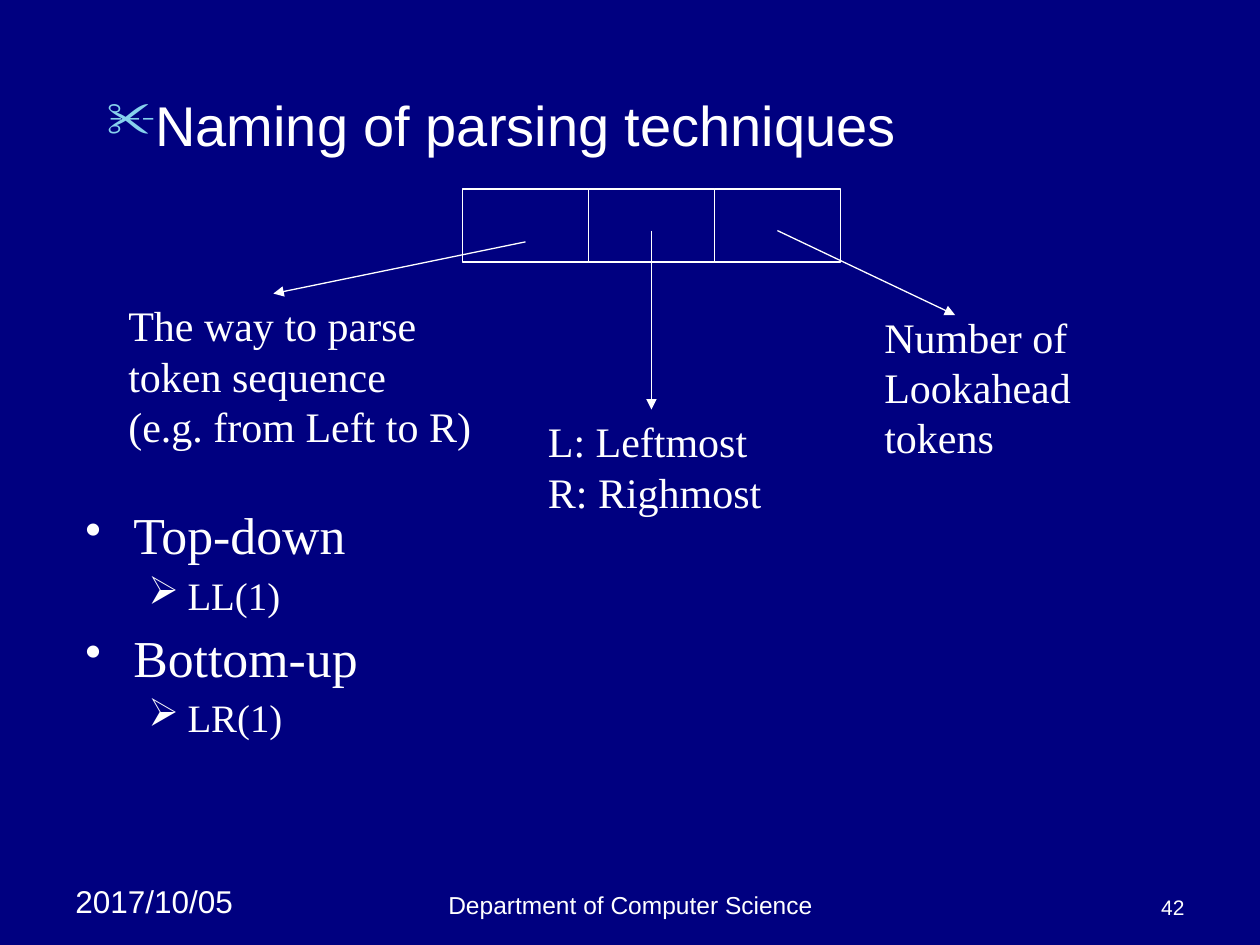
from dataclasses import dataclass
from typing import Any

from lxml import etree
from pptx import Presentation
from pptx import util as u
from pptx.dml.color import RGBColor
from pptx.enum import shapes, text
from pptx.oxml import ns


def color(value):
    return RGBColor.from_string(value)


def add_element(parent, tag, **attributes):
    return etree.SubElement(parent, ns.qn(tag), attributes)


@dataclass
class SlideBuilder:
    """Hold the slide style and add each kind of element to the current slide."""

    slide: Any
    ink: str = "FFFFFF"
    ground: str = "000080"
    sans: str = "Arial"
    serif: str = "Times New Roman"
    line_width: float = 0.75

    def background(self):
        fill = self.slide.background.fill
        fill.solid()
        fill.fore_color.rgb = color(self.ground)

    def text_box(self, left, top, width, height, anchor="TOP", wrap=True):
        box = self.slide.shapes.add_textbox(
            u.Inches(left), u.Inches(top), u.Inches(width), u.Inches(height)
        )
        frame = box.text_frame
        frame.word_wrap = wrap
        frame.vertical_anchor = text.MSO_ANCHOR[anchor]
        return frame

    def paragraph(self, frame, words, size, font, align="LEFT"):
        first = frame.paragraphs[0]
        para = frame.add_paragraph() if first.runs else first
        para.add_run().text = words
        para.alignment = text.PP_ALIGN[align]
        para.font.size = u.Pt(size)
        para.font.name = font
        para.font.color.rgb = color(self.ink)
        return para

    def label(self, left, top, width, height, lines):
        frame = self.text_box(left, top, width, height, wrap=False)
        for words in lines:
            self.paragraph(frame, words, 24, self.serif)

    def footer(self, left, top, width, height, words, size, align, anchor):
        frame = self.text_box(left, top, width, height, anchor)
        self.paragraph(frame, words, size, self.sans, align)

    def bullet(self, para, mark, indent, hanging, before, percent=100, tint=None):
        para.space_before = u.Pt(before)
        properties = para._p.get_or_add_pPr()
        properties.set("marL", str(u.Inches(indent)))
        properties.set("indent", str(-u.Inches(hanging)))
        defaults = properties.find(ns.qn("a:defRPr"))
        tone = add_element(properties, "a:buClr")
        add_element(tone, "a:srgbClr", val=tint or self.ink)
        add_element(properties, "a:buSzPct", val=str(percent * 1000))
        add_element(properties, "a:buChar", char=mark)
        properties.append(defaults)

    def title(self, words):
        frame = self.text_box(0.75, 0.67, 8.5, 0.67)
        para = self.paragraph(frame, words, 32, self.sans)
        self.bullet(para, "✂", 0.38, 0.38, 8, 90, "86D1EC")

    def outline(self, left, top, width, height, groups):
        frame = self.text_box(left, top, width, height)
        for heading, detail in groups:
            para = self.paragraph(frame, heading, 29.6, self.serif)
            para.line_spacing = 0.9
            self.bullet(para, "•", 0.38, 0.38, 8, 90)
            para = self.paragraph(frame, detail, 22.2, self.serif)
            para.level = 1
            para.line_spacing = 0.9
            self.bullet(para, "➢", 0.81, 0.31, 6)

    def cell(self, left, top, width, height):
        box = self.slide.shapes.add_shape(
            shapes.MSO_SHAPE.RECTANGLE,
            u.Inches(left), u.Inches(top), u.Inches(width), u.Inches(height),
        )
        box.shadow.inherit = False
        box.fill.background()
        box.line.color.rgb = color(self.ink)
        box.line.width = u.Pt(self.line_width)

    def arrow(self, start, end):
        line = self.slide.shapes.add_connector(
            shapes.MSO_CONNECTOR.STRAIGHT, *map(u.Inches, (*start, *end))
        )
        line.line.color.rgb = color(self.ink)
        line.line.width = u.Pt(self.line_width)
        add_element(line.line._get_or_add_ln(), "a:tailEnd", type="triangle")
        add_element(line._element.spPr, "a:effectLst")


def main():
    deck = Presentation()
    deck.slide_width, deck.slide_height = u.Inches(10), u.Inches(7.5)
    page = SlideBuilder(deck.slides.add_slide(deck.slide_layouts[6]))
    page.background()

    page.footer(0.5, 6.95, 1.58, 0.4, "2017/10/05", 18, "LEFT", "TOP")
    page.footer(3.42, 6.83, 3.17, 0.52, "Department of Computer Science", 14, "CENTER", "BOTTOM")
    page.footer(7.17, 6.83, 2.33, 0.52, "42", 12, "RIGHT", "BOTTOM")
    page.title("Naming of parsing techniques")

    for column in range(3):
        page.cell(3.67 + column, 1.5, 1, 0.58)

    page.label(0.92, 2.33, 2.92, 1.3, ["The way to parse", "token sequence", "(e.g. from Left to R)"])
    page.label(4.25, 3.25, 1.98, 0.9, ["L: Leftmost", "R: Righmost"])
    page.outline(0.58, 4, 8.58, 2.17, [("Top-down", "LL(1)"), ("Bottom-up", "LR(1)")])
    page.label(6.92, 2.42, 1.92, 1.3, ["Number of", "Lookahead", "tokens"])

    page.arrow((4.17, 1.92), (2.17, 2.33))
    page.arrow((5.17, 1.83), (5.17, 3.25))
    page.arrow((6.17, 1.83), (7.58, 2.5))

    deck.save("out.pptx")


if __name__ == "__main__":
    main()
